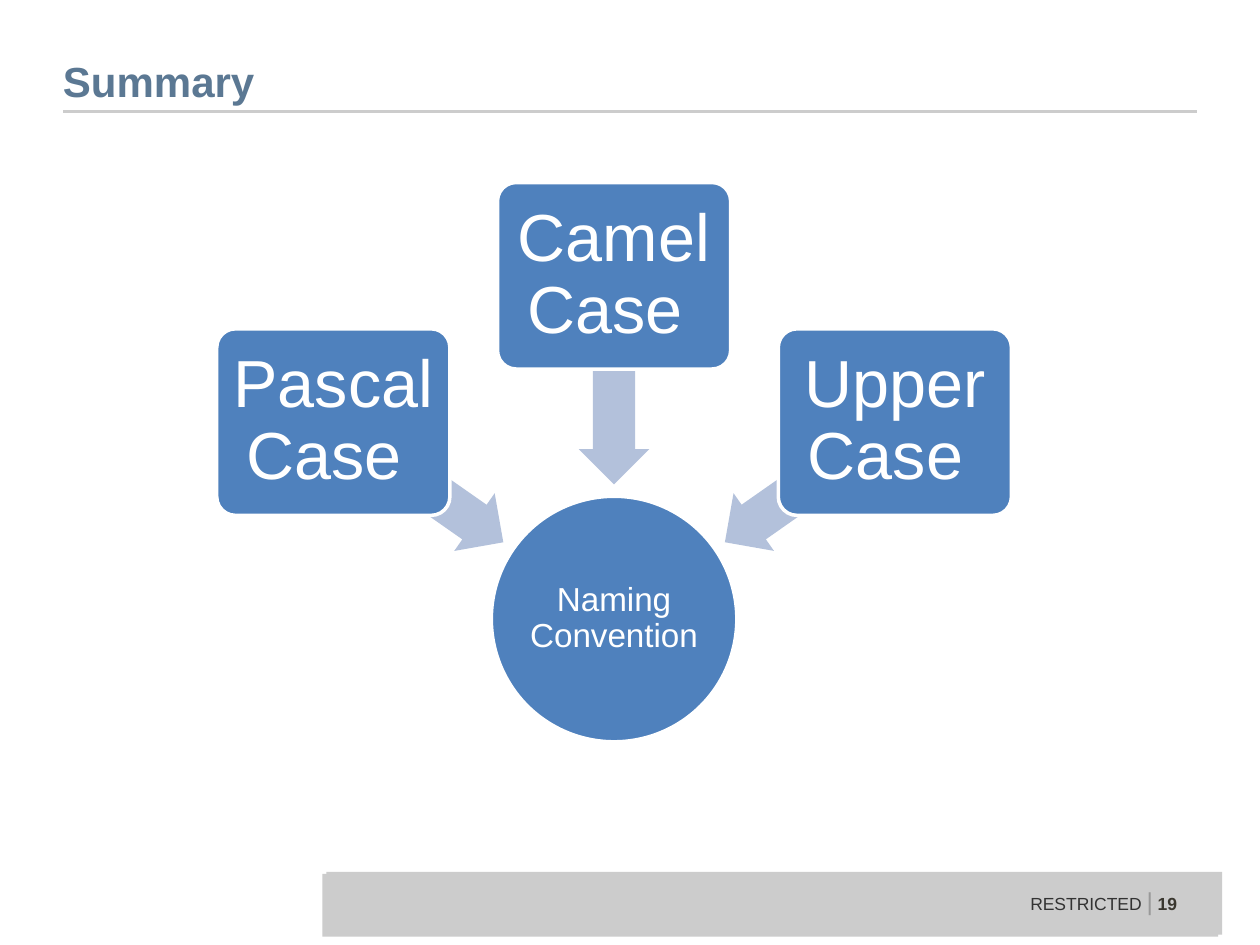
from dataclasses import dataclass

from lxml import etree
from pptx import Presentation
from pptx.dml.color import RGBColor
from pptx.enum.shapes import MSO_CONNECTOR, MSO_SHAPE
from pptx.enum.text import MSO_ANCHOR, PP_ALIGN
from pptx.oxml.ns import qn
from pptx.util import Cm, Pt

RECT, ROUND = MSO_SHAPE.RECTANGLE, MSO_SHAPE.ROUNDED_RECTANGLE
OVAL, ARROW = MSO_SHAPE.OVAL, MSO_SHAPE.LEFT_ARROW
TOP, MIDDLE, BOTTOM = MSO_ANCHOR.TOP, MSO_ANCHOR.MIDDLE, MSO_ANCHOR.BOTTOM
LEFT, CENTER = PP_ALIGN.LEFT, PP_ALIGN.CENTER

FONT = "Arial"
BLUE, PALE, WHITE, GREY = "4F81BD", "B3C1DB", "FFFFFF", "CCCCCC"
MID = 12.38
BOX_STEP, ARROW_STEP, TURN_STEP = 5.66, 3.95, 55


@dataclass
class Run:
    """A piece of text in one style."""
    text: str
    size: float
    color: str
    bold: bool = False


@dataclass
class Topic:
    """A box and its arrow; side is -1, 0 or 1, heights are centres in cm."""
    name: str
    side: int
    box_y: float
    arrow_y: float


TOPICS = [
    Topic("Pascal Case ", -1, 8.51, 9.73),
    Topic("Camel Case ", 0, 5.56, 7.67),
    Topic("Upper Case ", 1, 8.51, 9.73),
]


def rgb(color: str) -> RGBColor:
    """Turn a hex string into a colour."""
    return RGBColor.from_string(color)


def write(shape, runs: list[Run], anchor=MIDDLE, align=CENTER, pads=(0, 0, 0, 0),
          wrap: bool = True, pitch: float = 1.0) -> None:
    """Fill a shape with one paragraph; pads are left, top, right, bottom in cm."""
    frame = shape.text_frame
    frame.word_wrap = wrap
    frame.vertical_anchor = anchor
    (frame.margin_left, frame.margin_top,
     frame.margin_right, frame.margin_bottom) = map(Cm, pads)
    para = frame.paragraphs[0]
    para.alignment = align
    para.line_spacing = pitch
    for item in runs:
        run = para.add_run()
        run.text = item.text
        run.font.name = FONT
        run.font.size = Pt(item.size)
        run.font.bold = item.bold
        run.font.color.rgb = rgb(item.color)


def draw(slide, kind, x: float, y: float, w: float, h: float, fill: str,
         edge: str = "", adjust=()):
    """Draw a flat preset shape around the centre x, y."""
    shape = slide.shapes.add_shape(kind, Cm(x - w / 2), Cm(y - h / 2), Cm(w), Cm(h))
    shape.shadow.inherit = False
    shape.fill.solid()
    shape.fill.fore_color.rgb = rgb(fill)
    if edge:
        shape.line.color.rgb = rgb(edge)
        shape.line.width = Pt(2)
    else:
        shape.line.fill.background()
    for index, value in enumerate(adjust):
        shape.adjustments[index] = value
    return shape


def add_head(slide) -> None:
    """Add the title and the rule below it."""
    rule = slide.shapes.add_connector(
        MSO_CONNECTOR.STRAIGHT, Cm(1.27), Cm(2.25), Cm(24.13), Cm(2.25))
    rule.line.color.rgb = rgb(GREY)
    rule.line.width = Pt(1.5)
    etree.SubElement(rule.element.spPr, qn("a:effectLst"))
    title = slide.shapes.add_textbox(Cm(1.27), Cm(0.05), Cm(22.86), Cm(2.21))
    write(title, [Run("Summary", 24, "5B7893", True)], BOTTOM, LEFT, (0, 0, 0, 0.13))


def add_foot(slide) -> None:
    """Add the grey footer band with its label and page number."""
    for x, y in ((15.61, 18.21), (15.53, 18.25)):
        draw(slide, RECT, x, y, 18.06, 1.27, GREY)
    label = slide.shapes.add_textbox(Cm(20.52), Cm(17.73), Cm(3.56), Cm(0.86))
    runs = [Run("RESTRICTED ", 10, "333333"), Run("|", 14, "999999"),
            Run(" 19", 10, "3A372F", True)]
    write(label, runs, TOP, LEFT, (0.25, 0.13, 0.25, 0.13), wrap=False)


def add_topic(slide, topic: Topic) -> None:
    """Add one arrow towards the hub and the box over its tail."""
    arrow = draw(slide, ARROW, MID + topic.side * ARROW_STEP, topic.arrow_y,
                 4.19, 1.42, PALE, adjust=(0.6, 0.5))
    arrow.rotation = 270 + topic.side * TURN_STEP
    box = draw(slide, ROUND, MID + topic.side * BOX_STEP, topic.box_y,
               4.7, 3.76, BLUE, WHITE, (0.1,))
    write(box, [Run(topic.name, 38, WHITE)], pads=(0.1,) * 4, pitch=0.9)


def main() -> None:
    """Build and save the slide."""
    deck = Presentation()
    deck.slide_width, deck.slide_height = Cm(25.4), Cm(19.05)
    slide = deck.slides.add_slide(deck.slide_layouts[6])
    add_head(slide)
    add_foot(slide)
    hub = draw(slide, OVAL, MID, 12.48, 4.95, 4.95, BLUE, WHITE)
    write(hub, [Run("Naming Convention", 19, WHITE)], pitch=0.9)
    for topic in TOPICS:
        add_topic(slide, topic)
    deck.save("out.pptx")


main()
